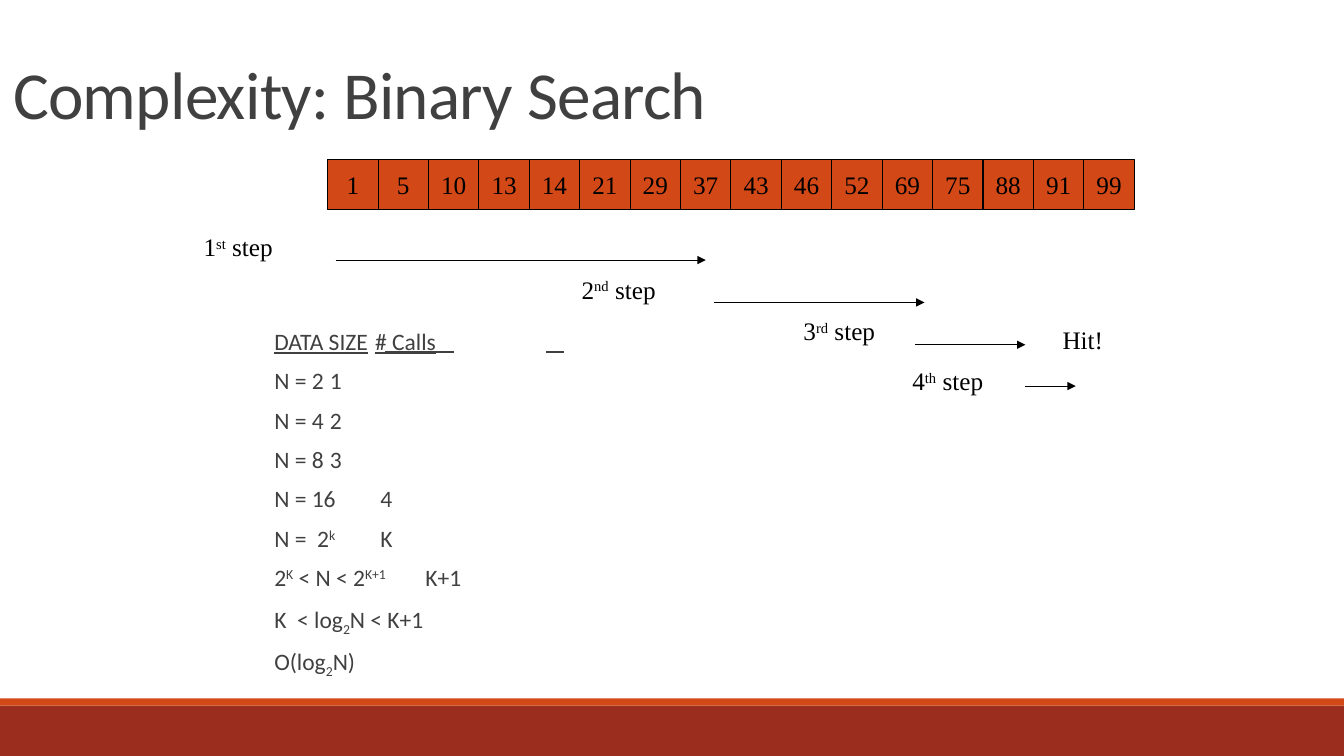
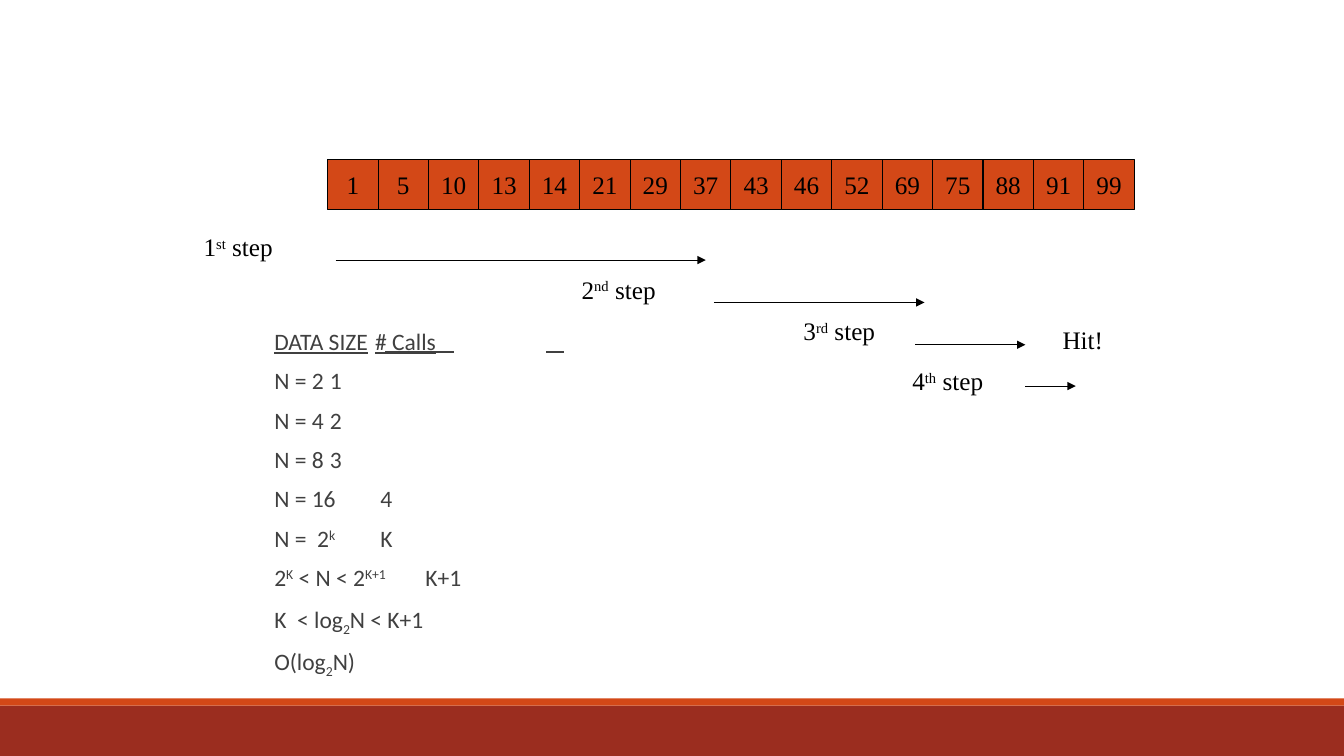
from dataclasses import dataclass
from typing import Any, NamedTuple

from lxml.etree import SubElement
from pptx import Presentation
from pptx.dml.color import RGBColor
from pptx.enum.shapes import MSO_CONNECTOR, MSO_SHAPE
from pptx.enum.text import MSO_ANCHOR, MSO_AUTO_SIZE, PP_ALIGN
from pptx.oxml.ns import qn
from pptx.slide import Slide
from pptx.util import Inches, Pt


@dataclass(frozen=True)
class Theme:
    band: RGBColor = RGBColor(0x9B, 0x2D, 0x1F)
    accent: RGBColor = RGBColor(0xD3, 0x48, 0x17)
    text: RGBColor = RGBColor(0x40, 0x40, 0x40)
    ink: RGBColor = RGBColor(0, 0, 0)
    heading_font: str = "Calibri"
    diagram_font: str = "Times New Roman"
    title_size: float = 48
    body_size: float = 16.8
    diagram_size: float = 18
    line_width: float = 0.75


class Box(NamedTuple):
    left: float
    top: float
    width: float
    height: float


class Run(NamedTuple):
    text: str
    baseline: int = 0
    underline: bool = False


class Step(NamedTuple):
    label: Box
    ordinal: str
    suffix: str
    arrow_start: float
    arrow_end: float
    arrow_top: float


class Rule(NamedTuple):
    start: float
    end: float


THEME = Theme()
SLIDE_WIDTH, SLIDE_HEIGHT = 13.33, 7.5
TITLE_BOX = Box(0.03, 0.12, 8.5, 1.25)
BODY_BOX = Box(2.72, 3.27, 7.25, 3.58)
HIT_BOX = Box(10.44, 3.17, 0.61, 0.4)
CALLS_TAB = 2.1
CELL_LEFT, CELL_TOP, CELL_SIZE = 3.25, 1.58, 0.5
HEADER_RULE_TOP = 3.49
HEADER_RULES = (Rule(3.82, 4.5), Rule(5.42, 5.59))
BANDS = (
    (Box(0, 7, SLIDE_WIDTH, 0.5), THEME.band),
    (Box(0, 6.93, SLIDE_WIDTH, 0.07), THEME.accent),
)
VALUES = (1, 5, 10, 13, 14, 21, 29, 37, 43, 46, 52, 69, 75, 88, 91, 99)
STEPS = (
    Step(Box(1.92, 2.25, 0.91, 0.4), "1", "st", 3.33, 7, 2.58),
    Step(Box(5.67, 2.67, 0.97, 0.4), "2", "nd", 7.08, 9.17, 3),
    Step(Box(7.87, 3.08, 0.94, 0.4), "3", "rd", 9.08, 10.17, 3.42),
    Step(Box(8.95, 3.58, 0.93, 0.4), "4", "th", 10.17, 10.67, 3.83),
)


def superscript(text: str) -> Run:
    return Run(text, 30)


def subscript(text: str) -> Run:
    return Run(text, -25)


COMPLEXITY_ROWS = (
    (Run("DATA SIZE", underline=True), Run("\t"), Run("# Calls", underline=True)),
    (Run("N = 2\t 1"),),
    (Run("N = 4\t 2"),),
    (Run("N = 8\t 3"),),
    (Run("N = 16\t 4"),),
    (Run("N =  2"), superscript("k"), Run("\t K")),
    (Run("2"), superscript("K"), Run(" < N < 2"), superscript("K+1"), Run("\tK+1")),
    (Run("K  < log"), subscript("2"), Run("N < K+1")),
    (Run("O(log"), subscript("2"), Run("N)")),
)
BODY_PARAGRAPH = {
    "line_spacing": 0.7,
    "space_before": Pt(12),
    "space_after": Pt(2),
    "alignment": PP_ALIGN.LEFT,
}
DIAGRAM_FONT = {"name": THEME.diagram_font, "size": Pt(THEME.diagram_size)}
BODY_FONT = {"name": THEME.heading_font, "size": Pt(THEME.body_size)}
TITLE_FONT = {"name": THEME.heading_font, "size": Pt(THEME.title_size)}


def apply_format(target: Any, values: dict[str, Any]) -> None:
    for name, value in values.items():
        setattr(target, name, value)


def place(shape: Any, box: Box) -> None:
    apply_format(shape, {name: Inches(value) for name, value in box._asdict().items()})


def write_runs(
    paragraph: Any, runs: tuple[Run, ...], font: dict[str, Any], color: RGBColor
) -> None:
    for item in runs:
        run = paragraph.add_run()
        run.text = item.text
        apply_format(run.font, font | {"underline": item.underline})
        run.font.color.rgb = color
        if item.baseline:
            run.font._element.set("baseline", str(item.baseline * 1000))


def add_rectangle(slide: Slide, box: Box, fill: RGBColor) -> Any:
    shape = slide.shapes.add_shape(MSO_SHAPE.RECTANGLE, *map(Inches, box))
    shape.shadow.inherit = False
    shape.fill.solid()
    shape.fill.fore_color.rgb = fill
    shape.line.fill.background()
    return shape


def add_line(
    slide: Slide, rule: Rule, top: float, color: RGBColor, width: float, arrow: bool = False
) -> None:
    connector = slide.shapes.add_connector(
        MSO_CONNECTOR.STRAIGHT, Inches(rule.start), Inches(top), Inches(rule.end), Inches(top)
    )
    connector.line.color.rgb = color
    connector.line.width = Pt(width)
    properties = connector.element.spPr
    if arrow:
        SubElement(properties.find(qn("a:ln")), qn("a:tailEnd"), type="triangle")
    SubElement(properties, qn("a:effectLst"))


def add_label(slide: Slide, box: Box, runs: tuple[Run, ...]) -> None:
    frame = slide.shapes.add_textbox(*map(Inches, box)).text_frame
    apply_format(frame, {"word_wrap": False, "auto_size": MSO_AUTO_SIZE.SHAPE_TO_FIT_TEXT})
    write_runs(frame.paragraphs[0], runs, DIAGRAM_FONT, THEME.ink)


def add_master_bands(presentation: Any, slide: Slide) -> None:
    master_tree = presentation.slide_master.element.cSld.spTree
    for index, (box, color) in enumerate(BANDS):
        master_tree.insert(2 + index, add_rectangle(slide, box, color).element)


def fill_title(slide: Slide, text: str) -> None:
    title = slide.shapes.title
    if not text:
        title.element.getparent().remove(title.element)
        return
    place(title, TITLE_BOX)
    frame = title.text_frame
    apply_format(
        frame,
        {"vertical_anchor": MSO_ANCHOR.BOTTOM, "auto_size": MSO_AUTO_SIZE.NONE, "word_wrap": True},
    )
    paragraph = frame.paragraphs[0]
    apply_format(paragraph, {"alignment": PP_ALIGN.LEFT, "line_spacing": 0.85})
    write_runs(paragraph, (Run(text),), TITLE_FONT, THEME.text)
    paragraph.runs[0].font._element.set("spc", "-50")


def fill_body(slide: Slide) -> None:
    body = slide.placeholders[1]
    place(body, BODY_BOX)
    frame = body.text_frame
    margins = {"margin_left": 0, "margin_right": 0}
    margins |= {"margin_top": Inches(0.05), "margin_bottom": Inches(0.05)}
    apply_format(
        frame,
        margins | {"vertical_anchor": MSO_ANCHOR.TOP, "auto_size": MSO_AUTO_SIZE.NONE},
    )
    for index, runs in enumerate(COMPLEXITY_ROWS):
        paragraph = frame.add_paragraph() if index else frame.paragraphs[0]
        apply_format(paragraph, BODY_PARAGRAPH)
        properties = paragraph._p.get_or_add_pPr()
        for name in ("marL", "indent"):
            properties.set(name, "0")
        SubElement(properties, qn("a:buNone"))
        tabs = SubElement(properties, qn("a:tabLst"))
        SubElement(tabs, qn("a:tab"), pos=str(Inches(CALLS_TAB)), algn="l")
        write_runs(paragraph, runs, BODY_FONT, THEME.text)
    for rule in HEADER_RULES:
        add_line(slide, rule, HEADER_RULE_TOP, THEME.text, 1.25)


def add_sorted_array(slide: Slide) -> None:
    for index, value in enumerate(VALUES):
        box = Box(CELL_LEFT + index * CELL_SIZE, CELL_TOP, CELL_SIZE, CELL_SIZE)
        cell = add_rectangle(slide, box, THEME.accent)
        cell.line.color.rgb = THEME.ink
        cell.line.width = Pt(THEME.line_width)
        frame = cell.text_frame
        apply_format(frame, {"word_wrap": False, "vertical_anchor": MSO_ANCHOR.MIDDLE})
        paragraph = frame.paragraphs[0]
        paragraph.alignment = PP_ALIGN.CENTER
        write_runs(paragraph, (Run(str(value)),), DIAGRAM_FONT, THEME.ink)


def add_search_steps(slide: Slide) -> None:
    for step in STEPS:
        runs = (Run(step.ordinal), superscript(step.suffix), Run(" step"))
        add_label(slide, step.label, runs)
        arrow = Rule(step.arrow_start, step.arrow_end)
        add_line(slide, arrow, step.arrow_top, THEME.ink, THEME.line_width, arrow=True)
    add_label(slide, HIT_BOX, (Run("Hit!"),))


def main() -> None:
    presentation = Presentation()
    presentation.slide_width = Inches(SLIDE_WIDTH)
    presentation.slide_height = Inches(SLIDE_HEIGHT)
    layout = presentation.slide_layouts[1]
    for index, title in enumerate(("Complexity: Binary Search", "")):
        slide = presentation.slides.add_slide(layout)
        if index == 0:
            add_master_bands(presentation, slide)
        fill_title(slide, title)
        fill_body(slide)
        add_sorted_array(slide)
        add_search_steps(slide)
    presentation.save("out.pptx")


if __name__ == "__main__":
    main()
